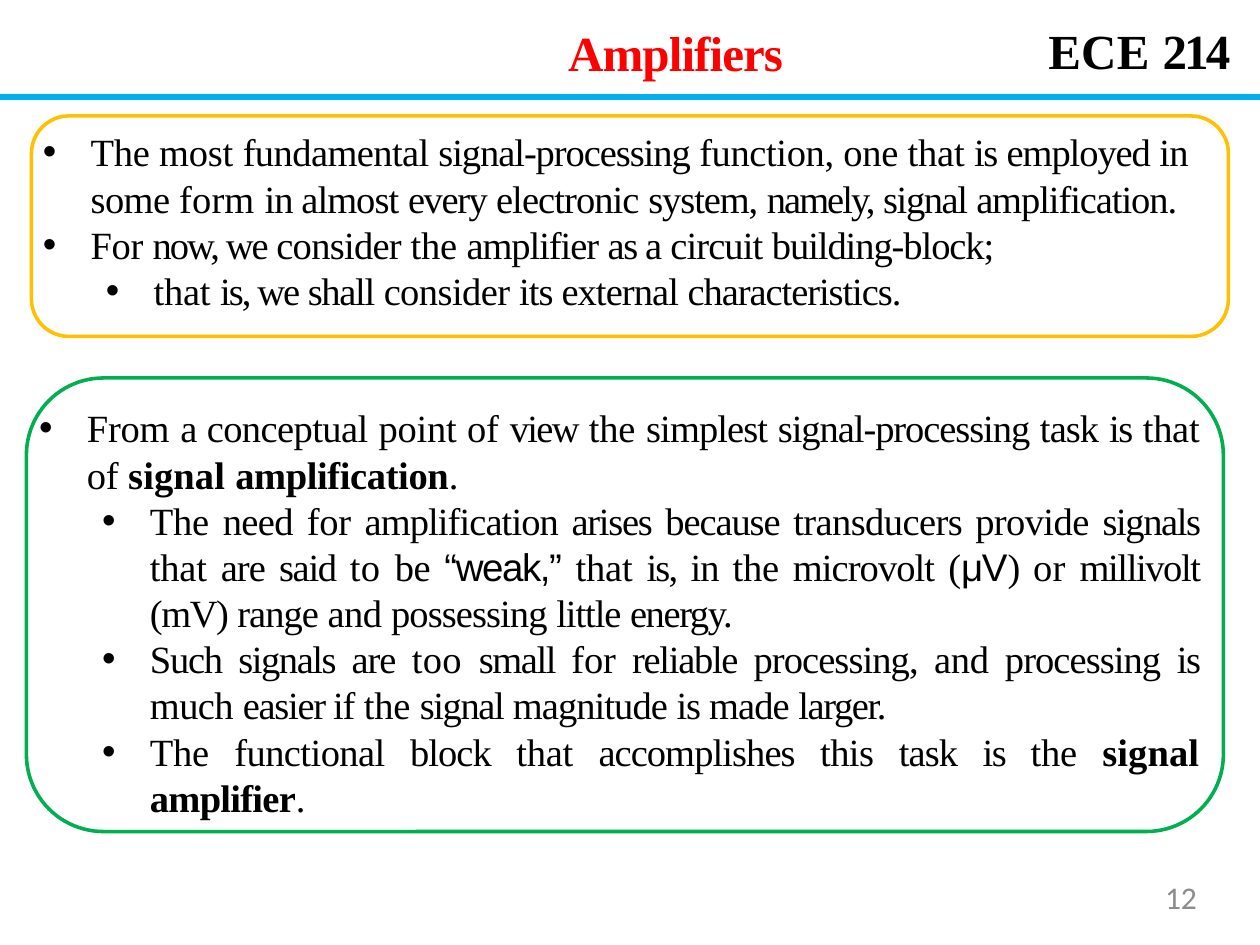
from pptx import Presentation
from pptx.dml.color import RGBColor
from pptx.enum.shapes import MSO_CONNECTOR, MSO_SHAPE
from pptx.enum.text import PP_ALIGN
from pptx.oxml.ns import qn
from pptx.util import Inches, Pt
from lxml import etree

ROUND = MSO_SHAPE.ROUNDED_RECTANGLE
LINE = MSO_CONNECTOR.STRAIGHT
LEFT, RIGHT, FULL = PP_ALIGN.LEFT, PP_ALIGN.RIGHT, PP_ALIGN.JUSTIFY
SERIF = "Times New Roman"
HUES = {"black": "000000", "red": "FF0000", "blue": "00AFEF",
        "gold": "FFC000", "green": "00AF50", "grey": "8C8C8C"}

# {n} sets the letter spacing in points; * means bold and A means Arial.
INTRO = [
    (0, "{-.1}The most {-.3}fundamental {-.6}signal-processing {-.2}function, "
        "{-.1}one that {-.8}is {-.6}employed {-.5}in {-.3}some {.1}form "
        "{-.5}in almost {-.8}every {-.5}electronic {-.6}system, {-1.1}namely, "
        "{-.8}signal {-.6}amplification."),
    (0, "{-.2}For {-1.1}now, we {-.4}consider {-.1}the {-.6}amplifier "
        "{-.8}as a {-.5}circuit {-.6}building-block;"),
    (1, "{-.1}that {-1.1}is, we {-.7}shall {-.3}consider {-.5}its external "
        "{-.6}characteristics."),
]
NEED = [
    (0, "{-.1}From {-.8}a {-.3}conceptual {-.1}point of {-.9}view {-.1}the "
        "{-.5}simplest {-.6}signal-processing {-.5}task {-.8}is {-.1}that of "
        "{.1*}signal {-.2*}amplification{-.2}."),
    (1, "{-.1}The {-.3}need {-.1}for {-.5}amplification {-.7}arises "
        "{-.6}because {-.3}transducers provide {-.8}signals {-.1}that "
        "{-.5}are {-.7}said {.2}to {-.2}be {-.8A}“weak,” {-.1}that {-1}is, "
        "{-.5}in {-.1}the {-.5}microvolt {-.7}({-.7A}μV{-.7}) {.1}or "
        "{-.8}millivolt (mV) {-.5}range {-.3}and {-.5}possessing "
        "{-.6}little {-.8}energy."),
    (1, "{-.7}Such {-.8}signals {-.6}are {.2}too {-.8}small {-.1}for "
        "{-.7}reliable {-.5}processing, {-.2}and {-.5}processing {-.8}is "
        "{-.3}much {-.7}easier if {-.1}the {-.8}signal {-.5}magnitude "
        "{-.8}is {-.5}made {-.8}larger."),
    (1, "{-.1}The {-.3}functional {-.5}block {-.1}that {-.5}accomplishes "
        "{-.3}this {-.5}task {-.8}is {-.1}the {.1*}signal {-.4*}amplifier"
        "{-.4}."),
]


def add_box(left, top, width, height, inset=0.01):
    frame = slide.shapes.add_textbox(
        Inches(left), Inches(top), Inches(width), Inches(height)).text_frame
    frame.word_wrap = True
    frame.margin_left = frame.margin_right = frame.margin_bottom = 0
    frame.margin_top = Inches(inset)
    return frame


def add_runs(para, text, size, hue, face=SERIF, bold=False):
    """Add one run for each {style}text part of the marked-up text."""
    for part in text.split("{")[1:]:
        style, words = part.split("}")
        run = para.add_run()
        run.text = words
        run.font.size = Pt(size)
        run.font.name = "Arial" if "A" in style else face
        run.font.bold = bold or "*" in style
        run.font.color.rgb = RGBColor.from_string(HUES[hue])
        gap = float(style.rstrip("*A"))
        run.font._element.set("spc", str(round(gap * 100)))


deck = Presentation()
deck.slide_width, deck.slide_height = Inches(10), Inches(7.5)
slide = deck.slides.add_slide(deck.slide_layouts[6])

# Header
rule = slide.shapes.add_connector(
    LINE, Inches(0), Inches(0.77), Inches(10), Inches(0.77))
rule.line.color.rgb = RGBColor.from_string(HUES["blue"])
rule.line.width = Pt(3)
etree.SubElement(rule._element.spPr, qn("a:effectLst"))

for left, top, width, text, hue in [
        (8.32, 0.15, 1.62, "{.2}ECE {-1.6}214", "black"),
        (4.51, 0.17, 1.74, "{-.5}Amplifiers", "red")]:
    para = add_box(left, top, width, 0.49).paragraphs[0]
    para.space_before = Pt(0.9)
    add_runs(para, text, 28, hue, bold=True)

# Framed bullet lists
for frame, hue, top, width, height, align, first, items in [
        ((0.25, 0.92, 9.5, 1.75), "gold", 1.01, 9.36, 1.5, LEFT, 0.42, INTRO),
        ((0.21, 3, 9.5, 3.6), "green", 3.2, 9.22, 3.3, FULL, 0.39, NEED)]:
    card = slide.shapes.add_shape(ROUND, *map(Inches, frame))
    card.adjustments[0] = 0.17
    card.shadow.inherit = False
    card.fill.background()
    card.line.color.rgb = RGBColor.from_string(HUES[hue])
    card.line.width = Pt(2.04)

    body = add_box(0.3, top, width, height)
    for num, (level, text) in enumerate(items):
        para = body.add_paragraph() if num else body.paragraphs[0]
        para.level = level
        para.alignment = align
        para.space_before = Pt(0 if num else 0.9)
        props = para._p.get_or_add_pPr()
        props.set("marL", str(Inches(first + level / 2)))
        props.set("indent", str(Inches(-0.38)))
        etree.SubElement(props, qn("a:buFont"), typeface="Arial")
        etree.SubElement(props, qn("a:buChar"), char="•")
        add_runs(para, text, 22, "black")

# Page number
para = add_box(7.2, 6.97, 2.3, 0.38, 0).paragraphs[0]
para.alignment = RIGHT
add_runs(para, "{0}12", 18, "grey", "Calibri")

deck.save("out.pptx")
